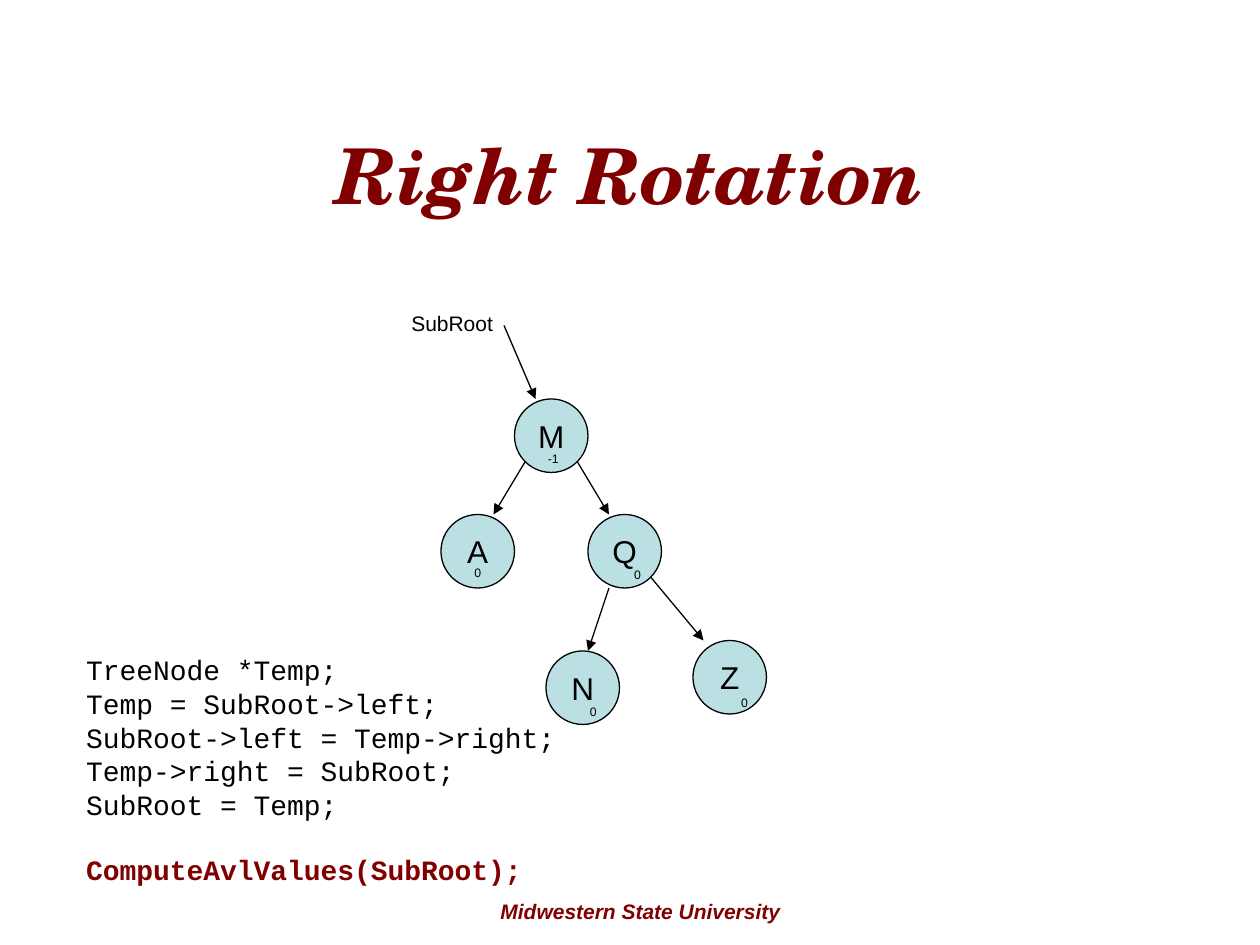
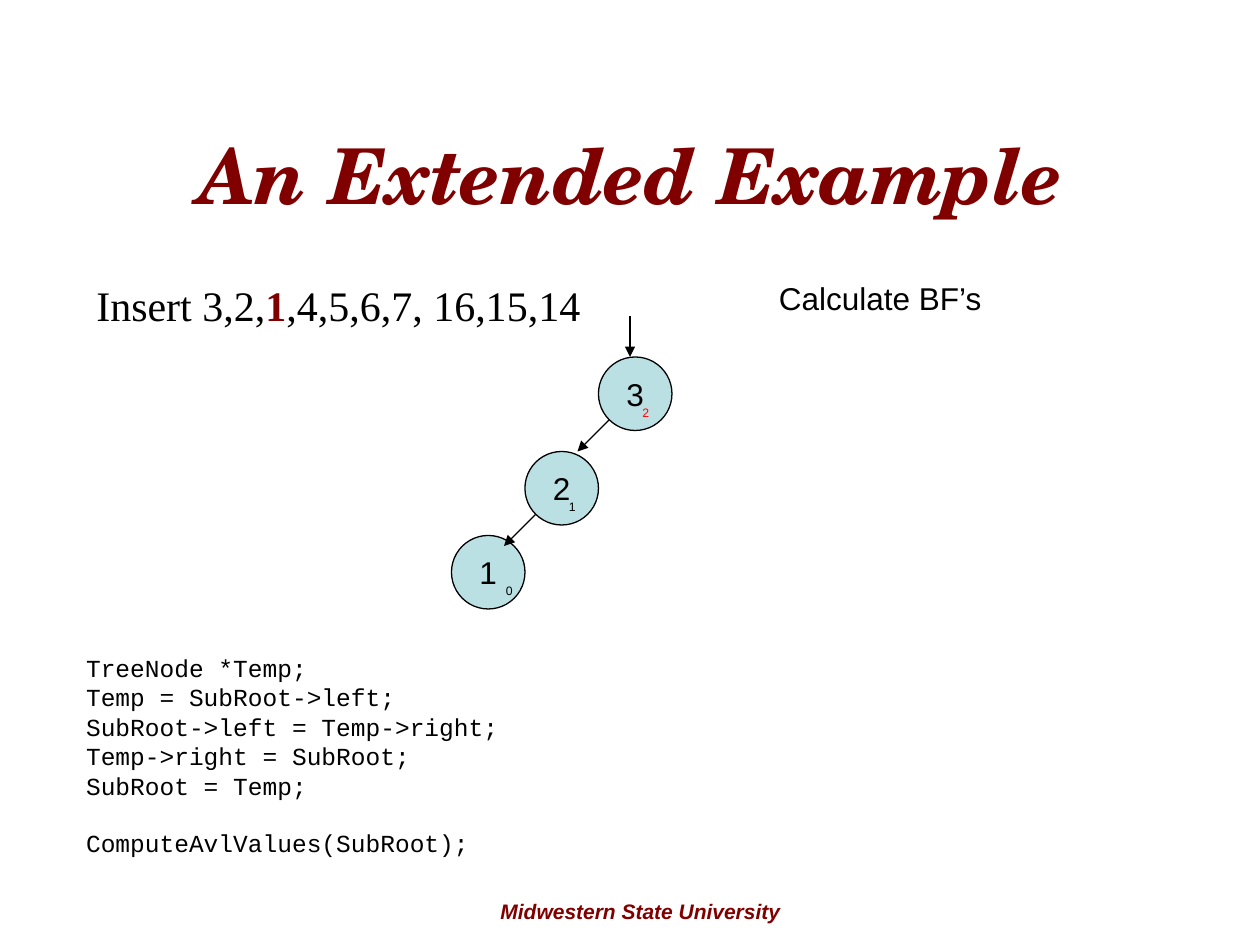
from dataclasses import dataclass
from lxml.etree import SubElement as Sub
from pptx import Presentation
from pptx.dml.color import RGBColor as Rgb
from pptx.enum.shapes import MSO_CONNECTOR as Line, MSO_SHAPE as Kind
from pptx.enum.text import MSO_ANCHOR as Anchor, PP_ALIGN as Align
from pptx.oxml.ns import qn
from pptx.util import Inches, Pt

BLACK = Rgb.from_string("000000")
MAROON = Rgb.from_string("800000")


@dataclass(frozen=True)
class Theme:
    ink: Rgb = BLACK
    node: Rgb = Rgb.from_string("BBE0E3")
    accent: Rgb = MAROON
    alert: Rgb = Rgb.from_string("FF0000")
    line: Pt = Pt(0.75)
    title: tuple = ("TeX Gyre Schola", 44, MAROON, True, True)
    foot: tuple = ("Arial", 12, MAROON, True, True)
    label: tuple = ("Arial", 12, BLACK, False, False)
    key: tuple = ("Arial", 18, BLACK, False, False)
    badge: tuple = ("Arial", 7, BLACK, False, False)
    task: tuple = ("Times New Roman", 24, BLACK, False, False)
    code: tuple = ("Courier New", 16, BLACK, False, False)
    small: tuple = ("Courier New", 14, BLACK, False, False)


theme = Theme()
deck = Presentation()
deck.slide_width, deck.slide_height = Inches(10), Inches(7.5)
COLS = 120
unit = deck.slide_width / COLS
NODE = 7


def grid(*cells):
    return [round(cell * unit) for cell in cells]


def write(frame, lines, style, align=Align.LEFT, **extra):
    face, size, tint, bold, slant = style
    for row, parts in enumerate(lines):
        para = frame.paragraphs[0] if row == 0 else frame.add_paragraph()
        para.alignment = align
        for words, marked in parts:
            run = para.add_run()
            run.text = words
            form = {"name": face, "size": Pt(size), "bold": bold or marked, "italic": slant}
            for name, value in form.items():
                setattr(run.font, name, value)
            run.font.color.rgb = theme.accent if marked else tint
    for name, value in extra.items():
        setattr(frame, name, value)


code = [
    "TreeNode *Temp;",
    "Temp = SubRoot->left;",
    "SubRoot->left = Temp->right;",
    "Temp->right = SubRoot;",
    "SubRoot = Temp;",
    "ComputeAvlValues(SubRoot);",
]

pages = [
    {
        "title": "Right Rotation",
        "code": theme.code,
        "mark": True,
        "notes": [((38, 29, 12, 3.6), [("SubRoot", False)], theme.label)],
        "nodes": [
            ("Q", 56, 49, "0", 3.2, 4.4, theme.ink),
            ("M", 49, 38, "-1", 2, 4.4, theme.ink),
            ("A", 42, 49, "0", 2, 4.2, theme.ink),
            ("N", 52, 62, "0", 3, 4.5, theme.ink),
            ("Z", 66, 61, "0", 3.4, 4.6, theme.ink),
        ],
        "edges": [
            (48, 31, 51, 38),
            (58, 56, 56, 62),
            (50, 44, 47, 49),
            (55, 44, 58, 49),
            (62, 55, 67, 61),
        ],
    },
    {
        "title": "An Extended Example",
        "code": theme.small,
        "mark": False,
        "notes": [
            (
                (8, 26, 85, 6),
                [("Insert 3,2,", False), ("1", True), (",4,5,6,7, 16,15,14", False)],
                theme.task,
            ),
            ((73, 26, 40, 4.8), [("Calculate BF’s", False)], theme.key),
        ],
        "nodes": [
            ("3", 57, 34, "2", 3, 4, theme.alert),
            ("2", 50, 43, "1", 3, 4, theme.ink),
            ("1", 43, 51, "0", 4, 4, theme.ink),
        ],
        "edges": [(60, 30.1, 60, 34), (58, 40, 55, 43), (51, 49, 48, 52)],
    },
]

for page in pages:
    slide = deck.slides.add_slide(deck.slide_layouts[6])
    shapes = slide.shapes

    foot = shapes.add_textbox(*grid(42, 85, 38, 3.6)).text_frame
    write(foot, [[("Midwestern State University", False)]], theme.foot, Align.CENTER, word_wrap=True)
    head = shapes.add_textbox(*grid(6, 9, 108, 15)).text_frame
    write(
        head, [[(page["title"], False)]], theme.title, Align.CENTER,
        word_wrap=True, vertical_anchor=Anchor.MIDDLE,
    )

    for box, parts, style in page["notes"]:
        note = shapes.add_textbox(*grid(*box)).text_frame
        write(note, [parts], style, word_wrap=True)

    size = page["code"][1]
    rows = [[(words, False)] for words in code[:-1]] + [[(code[-1], page["mark"])]]
    block = shapes.add_textbox(*grid(1, 61.6, 60, 1.2 + 1.4 * size)).text_frame
    write(block, rows, page["code"], word_wrap=True, margin_left=Inches(0.6))
    block.paragraphs[-1].space_before = Pt(round(1.13 * size))

    for key, left, top, *rest in page["nodes"]:
        disc = shapes.add_shape(Kind.OVAL, *grid(left, top, NODE, NODE))
        disc.shadow.inherit = False
        disc.fill.solid()
        disc.fill.fore_color.rgb = theme.node
        disc.line.color.rgb = theme.ink
        disc.line.width = theme.line
        write(
            disc.text_frame, [[(key, False)]], theme.key, Align.CENTER,
            word_wrap=False, vertical_anchor=Anchor.MIDDLE,
        )

    for ends in page["edges"]:
        edge = shapes.add_connector(Line.STRAIGHT, *grid(*ends))
        edge.line.color.rgb = theme.ink
        edge.line.width = theme.line
        Sub(edge.line._get_or_add_ln(), qn("a:tailEnd"), type="triangle")
        Sub(edge._element.spPr, qn("a:effectLst"))

    for key, left, top, value, right, down, tint in page["nodes"]:
        badge = shapes.add_textbox(*grid(left + right, top + down, 4, 2.6)).text_frame
        face, size, ink, *form = theme.badge
        write(badge, [[(value, False)]], (face, size, tint, *form), word_wrap=True)

deck.save("out.pptx")
